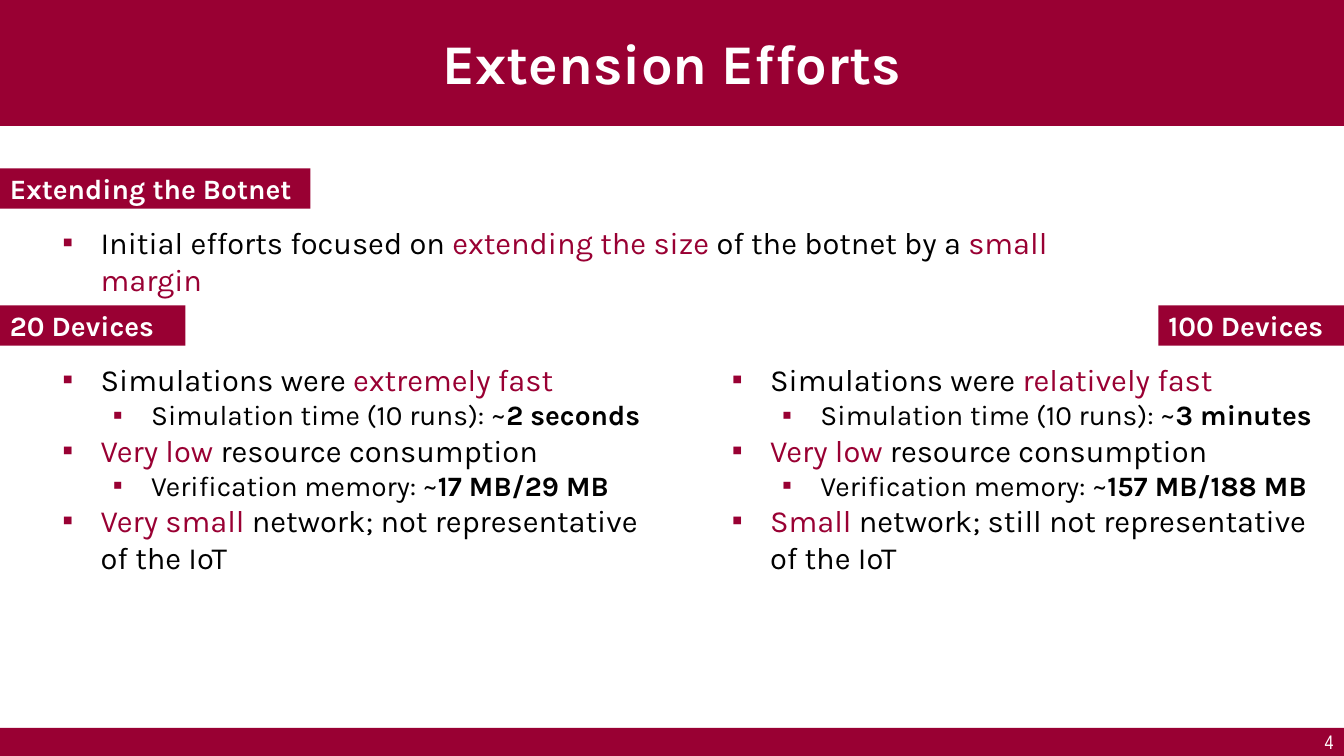
from pptx import Presentation
from pptx import util as u
from pptx.dml.color import RGBColor
from pptx.enum import shapes, text
from pptx.oxml.ns import qn
from lxml import etree

RED = RGBColor(0x99, 0x00, 0x33)
WHITE = RGBColor(255, 255, 255)
BLACK = RGBColor(0, 0, 0)
FACE = "Karla"
WIDE, HIGH = 13.33, 7.5

# A line is (level, runs); a run is (words, style): "" plain, "r" red, "b" bold.
TITLE = "Extension Efforts"
NUMBER = "4"
INTRO = [(0, [("Initial efforts focused on ", ""), ("extending the size ", "r"),
              ("of the botnet by a ", ""), ("small margin", "r")])]


def report(speed, time, memory, size, verdict):
    """List the lines that describe one network size."""
    return [
        (0, [("Simulations were ", ""), (speed, "r")]),
        (1, [("Simulation time (10 runs): ~", ""), (time, "b")]),
        (0, [("Very low ", "r"), ("resource consumption", "")]),
        (1, [("Verification memory: ~", ""), (memory, "b")]),
        (0, [(size, "r"), (f" network; {verdict} representative of the IoT", "")]),
    ]


FEW = report("extremely fast", "2 seconds", "17 MB/29 MB", "Very small", "not")
MANY = report("relatively fast", "3 minutes", "157 MB/188 MB", "Small", "still not")

TAG, TAG_H = 1.84, 0.4
ROWS = (1.67, 3.03)  # tops of the two rows of tags
LEFT, RIGHT = 0.52, 7.16
# words, left, row, width
TAGS = [("Extending the Botnet", 0, 0, 3.08),
        ("20 Devices", 0, 1, TAG),
        ("100 Devices", WIDE - TAG, 1, TAG)]
# lines, left, row, width, height
LISTS = [(INTRO, LEFT, 0, 10.81, 0.47),
         (FEW, LEFT, 1, 5.95, 2.26),
         (MANY, RIGHT, 1, 6.1, 2.26)]
SIZES = (22, 20)
STEP, HANG = 0.5, 0.38


def box(*at):
    """Turn inches into lengths."""
    return [u.Inches(n) for n in at]


def style(font, size, color, bold=False, face=FACE):
    """Set the look of a font."""
    font.name, font.size, font.bold = face, u.Pt(size), bold
    font.color.rgb = color


def bar(slide, words, *at):
    """Draw a red bar, with a bold label if there are words."""
    shape = slide.shapes.add_shape(shapes.MSO_SHAPE.RECTANGLE, *box(*at))
    shape.shadow.inherit = False
    shape.fill.solid()
    shape.fill.fore_color.rgb = RED
    shape.line.fill.background()
    if words:
        frame = shape.text_frame
        frame.vertical_anchor = text.MSO_ANCHOR.MIDDLE
        frame.word_wrap = True
        para = frame.paragraphs[0]
        para.text, para.alignment = words, text.PP_ALIGN.LEFT
        style(para.font, 20, WHITE, True)


def bullet(para, level):
    """Give a paragraph a hanging red square bullet."""
    para.level = level
    props = para._p.get_or_add_pPr()
    props.set("marL", str(u.Inches(HANG + STEP * level)))
    props.set("indent", str(u.Inches(-HANG)))
    color = etree.SubElement(props, qn("a:buClr"))
    etree.SubElement(color, qn("a:srgbClr"), val=str(RED))
    etree.SubElement(props, qn("a:buFont"), typeface="Arial")
    etree.SubElement(props, qn("a:buChar"), char="▪")


def listing(slide, lines, *at):
    """Add a text box of bulleted lines."""
    frame = slide.shapes.add_textbox(*box(*at)).text_frame
    frame.word_wrap = True
    for i, (level, runs) in enumerate(lines):
        para = frame.add_paragraph() if i else frame.paragraphs[0]
        bullet(para, level)
        for words, look in runs:
            run = para.add_run()
            run.text = words
            style(run.font, SIZES[level], RED if look == "r" else BLACK, look == "b")


def head(slide):
    """Turn the title placeholder into the top banner."""
    title = slide.shapes.title
    title.left, title.top, title.width, title.height = box(0, -0.02, WIDE, 1.27)
    title.fill.solid()
    title.fill.fore_color.rgb = RED
    title.text_frame.vertical_anchor = text.MSO_ANCHOR.MIDDLE
    para = title.text_frame.paragraphs[0]
    para.text, para.alignment = TITLE, text.PP_ALIGN.CENTER
    style(para.font, 40, WHITE, True)


def foot(slide):
    """Draw the bottom bar and the slide number."""
    bar(slide, "", 0, HIGH - 0.28, WIDE, 0.28)
    frame = slide.shapes.add_textbox(*box(13.04, 7.19, 0.45, 0.34)).text_frame
    frame.word_wrap = True
    para = frame.paragraphs[0]
    para.text = NUMBER
    style(para.font, 14, WHITE, face="Arial Narrow")


def main():
    """Build and save the slide."""
    deck = Presentation()
    deck.slide_width, deck.slide_height = box(WIDE, HIGH)
    slide = deck.slides.add_slide(deck.slide_layouts[5])
    head(slide)
    foot(slide)
    for words, left, row, width in TAGS:
        bar(slide, words, left, ROWS[row], width, TAG_H)
    for lines, left, row, width, height in LISTS:
        listing(slide, lines, left, ROWS[row] + 0.5, width, height)
    deck.save("out.pptx")


main()
